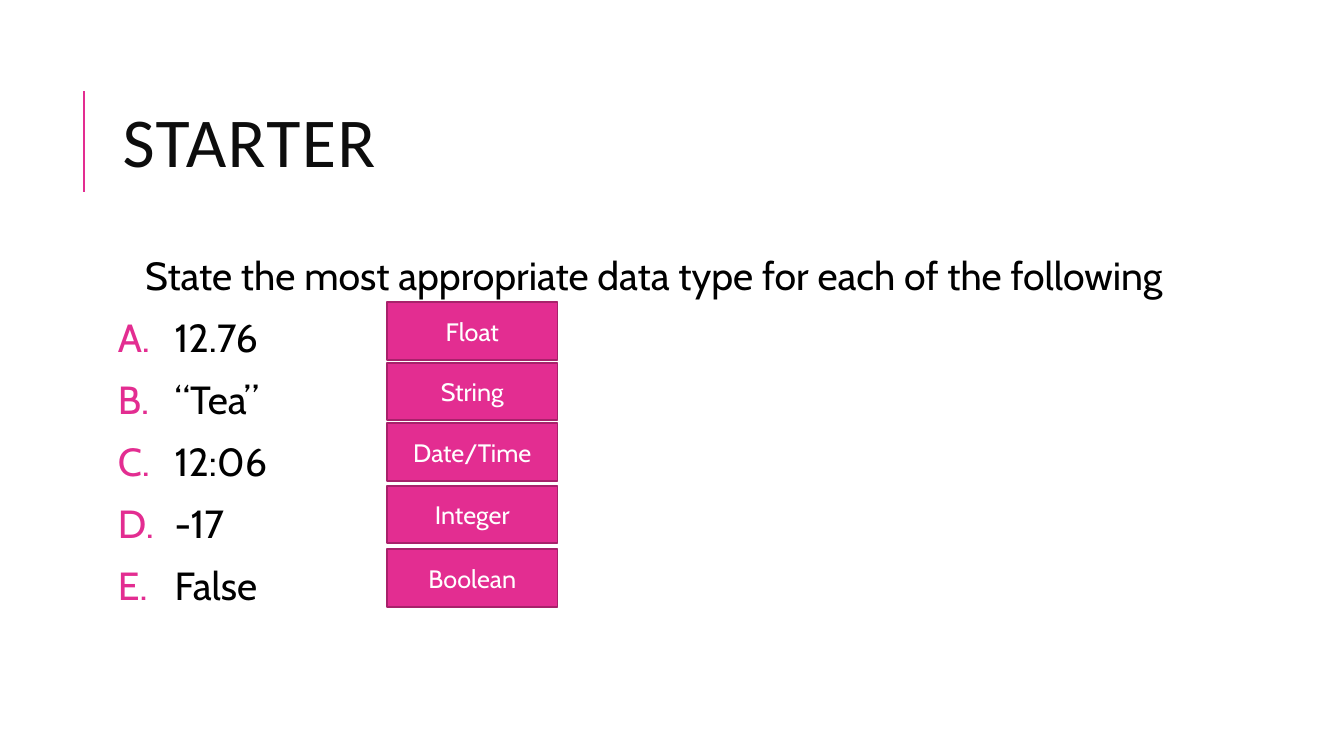
from lxml import etree
from pptx import Presentation
from pptx.dml.color import RGBColor
from pptx.enum import shapes, text
from pptx.oxml import ns
from pptx.util import Pt

PINK = RGBColor(0xE3, 0x2D, 0x91)
PLUM = RGBColor(0xA8, 0x21, 0x6B)
INK = RGBColor(0x0D, 0x0D, 0x0D)
BLACK = RGBColor(0, 0, 0)
WHITE = RGBColor(0xFF, 0xFF, 0xFF)

QUESTIONS = ["12.76", "“Tea”", "12:06", "-17", "False"]
ANSWERS = [
    ("Float", 216),
    ("String", 259.2),
    ("Date/Time", 302.4),
    ("Integer", 347),
    ("Boolean", 392.4),
]


def write(paragraph, content, *, font="Cabin", size=28, color=BLACK, align=None,
          line=None, before=None, after=None, margin=None, lettered=False, tracking=None):
    paragraph.alignment = align
    paragraph.line_spacing = line
    paragraph.space_before = None if before is None else Pt(before)
    paragraph.space_after = None if after is None else Pt(after)
    properties = paragraph._p.get_or_add_pPr()
    if margin is not None:
        properties.set("marL", str(Pt(margin)))
        properties.set("indent", str(Pt(-margin if lettered else 0)))
    if lettered:
        tint = etree.SubElement(properties, ns.qn("a:buClr"))
        etree.SubElement(tint, ns.qn("a:srgbClr"), val=str(PINK))
        etree.SubElement(properties, ns.qn("a:buFont"), typeface=font)
        etree.SubElement(properties, ns.qn("a:buAutoNum"), type="alphaUcPeriod")
    run = paragraph.add_run()
    run.text = content
    run.font.name = font
    run.font.size = Pt(size)
    run.font.color.rgb = color
    if tracking is not None:
        run._r.get_or_add_rPr().set("spc", str(tracking * 100))


class StarterSlide:
    accent = PINK
    border = PLUM

    def __init__(self, deck):
        self.slide = deck.slides.add_slide(deck.slide_layouts[6])

    def rule(self, x, top, bottom):
        rule = self.slide.shapes.add_connector(
            shapes.MSO_CONNECTOR.STRAIGHT, Pt(x), Pt(bottom), Pt(x), Pt(top))
        rule.line.color.rgb = self.accent
        rule.line.width = Pt(1.5)
        etree.SubElement(rule._element.spPr, ns.qn("a:effectLst"))

    def text_area(self, left, top, width, height, anchor, inset_x=7.2):
        frame = self.slide.shapes.add_textbox(
            Pt(left), Pt(top), Pt(width), Pt(height)).text_frame
        frame.word_wrap = True
        frame.vertical_anchor = anchor
        frame.margin_left = frame.margin_right = Pt(inset_x)
        frame.margin_top = frame.margin_bottom = Pt(3.6)
        return frame

    def answer(self, label, top):
        card = self.slide.shapes.add_shape(
            shapes.MSO_SHAPE.RECTANGLE, Pt(276.5), Pt(top), Pt(121.7), Pt(41))
        card.shadow.inherit = False
        card.fill.solid()
        card.fill.fore_color.rgb = self.accent
        card.line.color.rgb = self.border
        card.line.width = Pt(1.25)
        card.text_frame.vertical_anchor = text.MSO_ANCHOR.MIDDLE
        write(card.text_frame.paragraphs[0], label, size=18, color=WHITE,
              align=text.PP_ALIGN.CENTER)


def main():
    deck = Presentation()
    deck.slide_width, deck.slide_height = Pt(960), Pt(540)
    starter = StarterSlide(deck)

    starter.rule(60, 64.8, 136.8)
    heading = starter.text_area(80.6, 46, 765.4, 118, text.MSO_ANCHOR.MIDDLE)
    write(heading.paragraphs[0], "STARTER", font="Calibri", size=50, color=INK,
          line=0.8, tracking=1)

    task = starter.text_area(80.6, 180, 765.4, 316.8, text.MSO_ANCHOR.TOP, inset_x=3.6)
    write(task.paragraphs[0],
          "State the most appropriate data type for each of the following",
          align=text.PP_ALIGN.CENTER, line=0.9, after=2, margin=7.2)
    for question in QUESTIONS:
        write(task.add_paragraph(), question, line=0.9, before=12, after=2,
              margin=40.5, lettered=True)

    for label, top in ANSWERS:
        starter.answer(label, top)

    deck.save("out.pptx")


if __name__ == "__main__":
    main()
